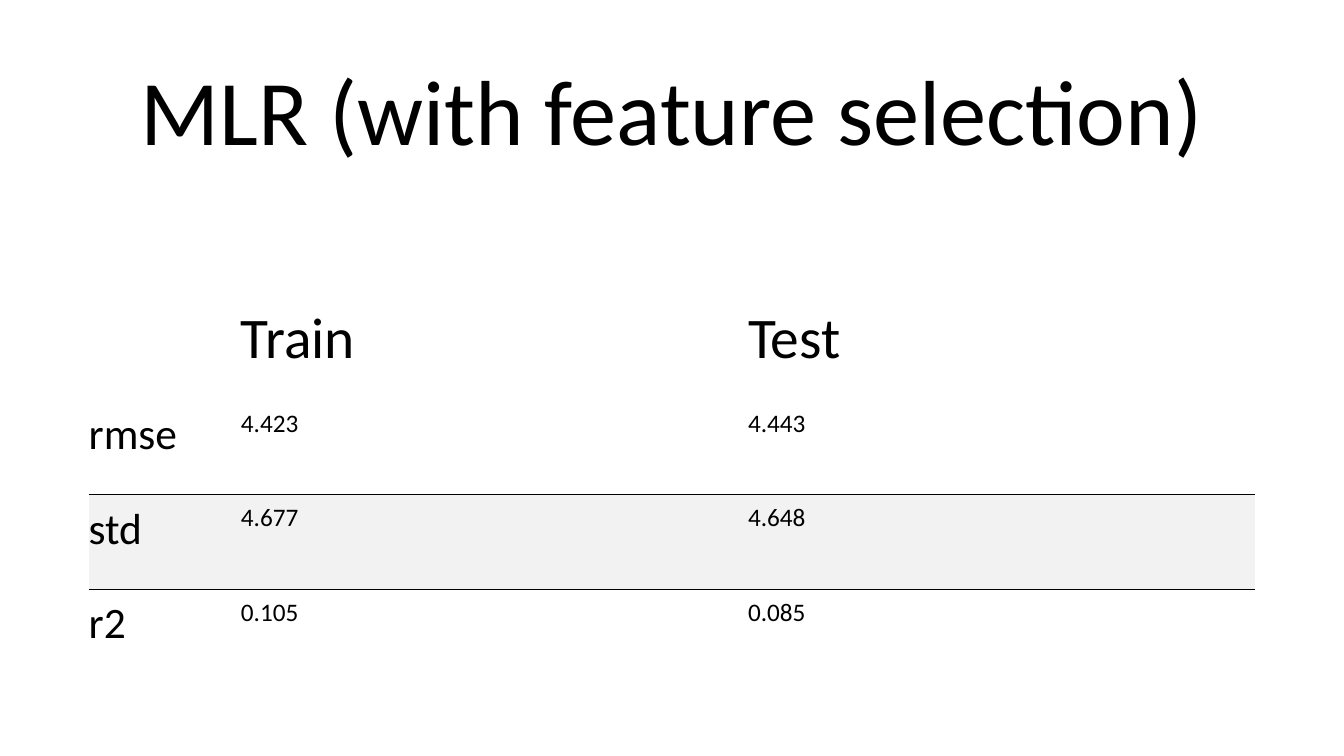
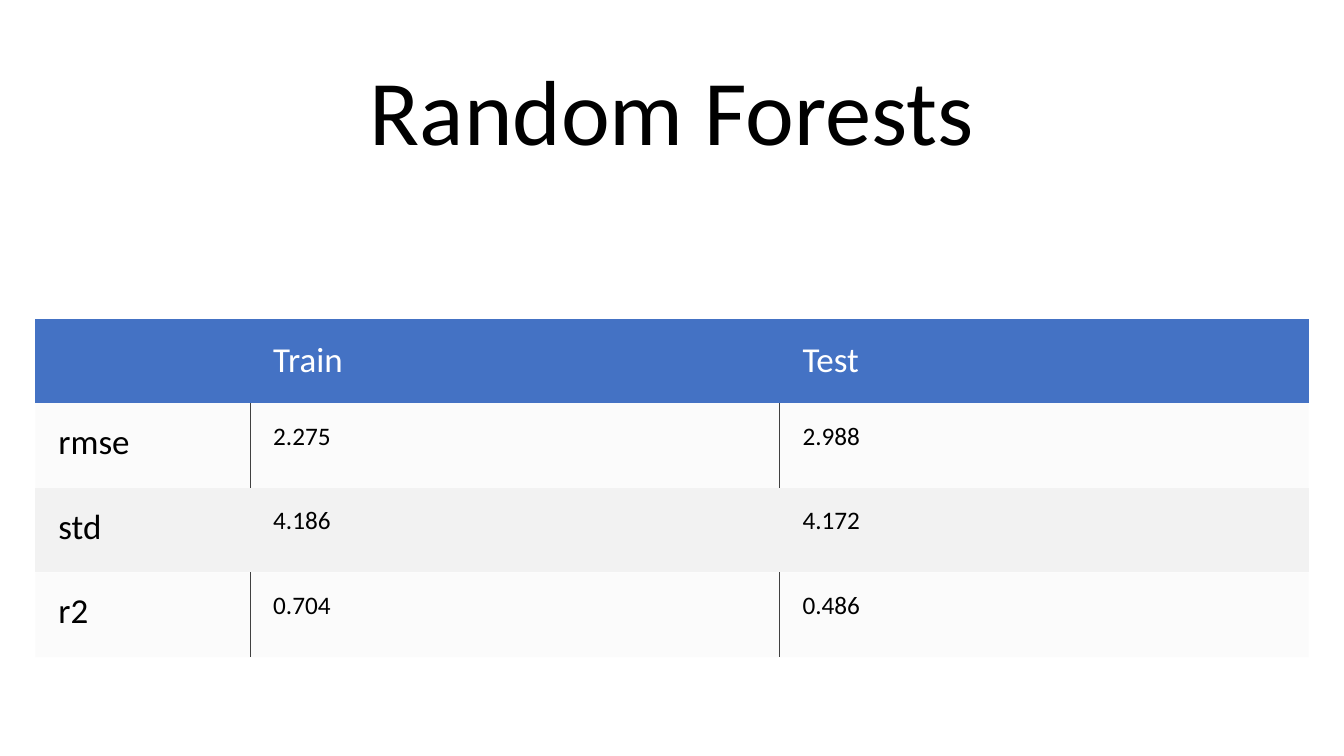
import pptx
import pptx.util
import pptx.dml.color
import pptx.enum.text
import pptx.oxml
import pptx.oxml.ns
from lxml import etree

PX = 9144
FONT = "Calibri"
BLACK, WHITE, BLUE = "000000", "FFFFFF", "4472C4"
GREY, DARK = "F2F2F2", "404040"
BARE = "{2D5ABB26-0587-4C30-8999-92F81FD0307C}"
HEAD = ["", "Train", "Test"]
TITLE = (70, 46, 1193, 137)
MID = pptx.enum.text.MSO_ANCHOR.MIDDLE
LOW = pptx.enum.text.MSO_ANCHOR.BOTTOM
TOP = pptx.enum.text.MSO_ANCHOR.TOP

SLIDES = [
    {
        "title": "MLR (with feature selection)",
        "rows": [HEAD, ["rmse", "4.423", "4.443"], ["std", "4.677", "4.648"], ["r2", "0.105", "0.085"]],
        "left": 88, "top": 288, "cols": [151, 503, 503], "tall": [109, 94, 94, 94],
        "pads": [(0, 5, 26, 26)] + [(0, 8, 26, 26)] * 3,
        "anchor": LOW, "sizes": (41, 31, 18), "ink": BLACK,
        "fills": [None, None, (GREY, 100), None],
        "rules": {1: "B", 2: "T"}, "cross": "", "line": (BLACK, 0.75),
    },
    {
        "title": "Random Forests",
        "rows": [HEAD, ["rmse", "2.275", "2.988"], ["std", "4.186", "4.172"], ["r2", "0.704", "0.486"]],
        "left": 35, "top": 316, "cols": [213, 525, 525], "tall": [84] * 4,
        "pads": [(23, 18, 18, 18)] * 4,
        "anchor": MID, "sizes": (25, 25, 18), "ink": WHITE,
        "fills": [(BLUE, 100), (GREY, 30), (GREY, 100), (GREY, 30)],
        "rules": {1: "LR", 3: "LR"}, "cross": "LR", "line": (DARK, 0.5),
    },
]


def color(code):
    return pptx.dml.color.RGBColor.from_string(code)


def style(para, size, ink):
    for run in para.runs:
        run.font.name = FONT
        run.font.size = pptx.util.Pt(size)
        run.font.color.rgb = color(ink)


def head(slide, text):
    box = slide.shapes.title
    box.left, box.top, box.width, box.height = [n * PX for n in TITLE]
    frame = box.text_frame
    frame.text = text
    frame.word_wrap = True
    frame.auto_size = pptx.enum.text.MSO_AUTO_SIZE.NONE
    frame.vertical_anchor = MID
    para = frame.paragraphs[0]
    para.alignment = pptx.enum.text.PP_ALIGN.CENTER
    para.line_spacing = 0.9
    style(para, 66, BLACK)


def border(props, side, line):
    ink, width = line
    edge = etree.SubElement(props, pptx.oxml.ns.qn("a:ln" + side), w=str(pptx.util.Pt(width)))
    solid = etree.SubElement(edge, pptx.oxml.ns.qn("a:solidFill"))
    etree.SubElement(solid, pptx.oxml.ns.qn("a:srgbClr"), val=ink)


def paint(cell, props, fill):
    if not fill:
        cell.fill.background()
        return
    ink, part = fill
    cell.fill.solid()
    cell.fill.fore_color.rgb = color(ink)
    if part < 100:
        tone = props.find(".//" + pptx.oxml.ns.qn("a:solidFill") + "/" + pptx.oxml.ns.qn("a:srgbClr")) \
            if not props.findall(pptx.oxml.ns.qn("a:solidFill")) \
            else props.find(pptx.oxml.ns.qn("a:solidFill"))[0]
        etree.SubElement(tone, pptx.oxml.ns.qn("a:alpha"), val=str(part * 1000))


def sides(data, row, col):
    last = len(data["cols"]) - 1
    edge = {"L": col > 0, "R": col < last}
    return [s for s in data["rules"].get(row, "") if edge.get(s, True)]


def fill_cell(cell, data, row, col):
    cell.text = data["rows"][row][col]
    pads = [n * PX for n in data["pads"][row]]
    cell.margin_left, cell.margin_top, cell.margin_right, cell.margin_bottom = pads
    cell.vertical_anchor = TOP if row else data["anchor"]
    large, label, value = data["sizes"]
    size = large if row == 0 else value if col else label
    style(cell.text_frame.paragraphs[0], size, BLACK if row else data["ink"])
    props = cell.fill and cell.text_frame and next(
        kid for kid in cell.text_frame._txBody.getparent() if kid.tag == pptx.oxml.ns.qn("a:tcPr"))
    for side in sides(data, row, col):
        border(props, side, data["line"])
    paint(cell, props, data["fills"][row])


def grid(slide, data):
    cols, tall = data["cols"], data["tall"]
    area = [n * PX for n in (data["left"], data["top"], sum(cols), sum(tall))]
    frame = slide.shapes.add_table(len(tall), len(cols), *area)
    table = frame.table
    table.first_row = table.horz_banding = False
    next(frame.element.iter(pptx.oxml.ns.qn("a:tableStyleId"))).text = BARE
    for col, width in enumerate(cols):
        table.columns[col].width = width * PX
    for row, height in enumerate(tall):
        table.rows[row].height = height * PX
        for col in range(len(cols)):
            fill_cell(table.cell(row, col), data, row, col)


def main():
    deck = pptx.Presentation()
    deck.slide_width, deck.slide_height = 1333 * PX, 750 * PX
    for data in SLIDES:
        slide = deck.slides.add_slide(deck.slide_layouts[5])
        head(slide, data["title"])
        grid(slide, data)
    deck.save("out.pptx")


if __name__ == "__main__":
    main()
